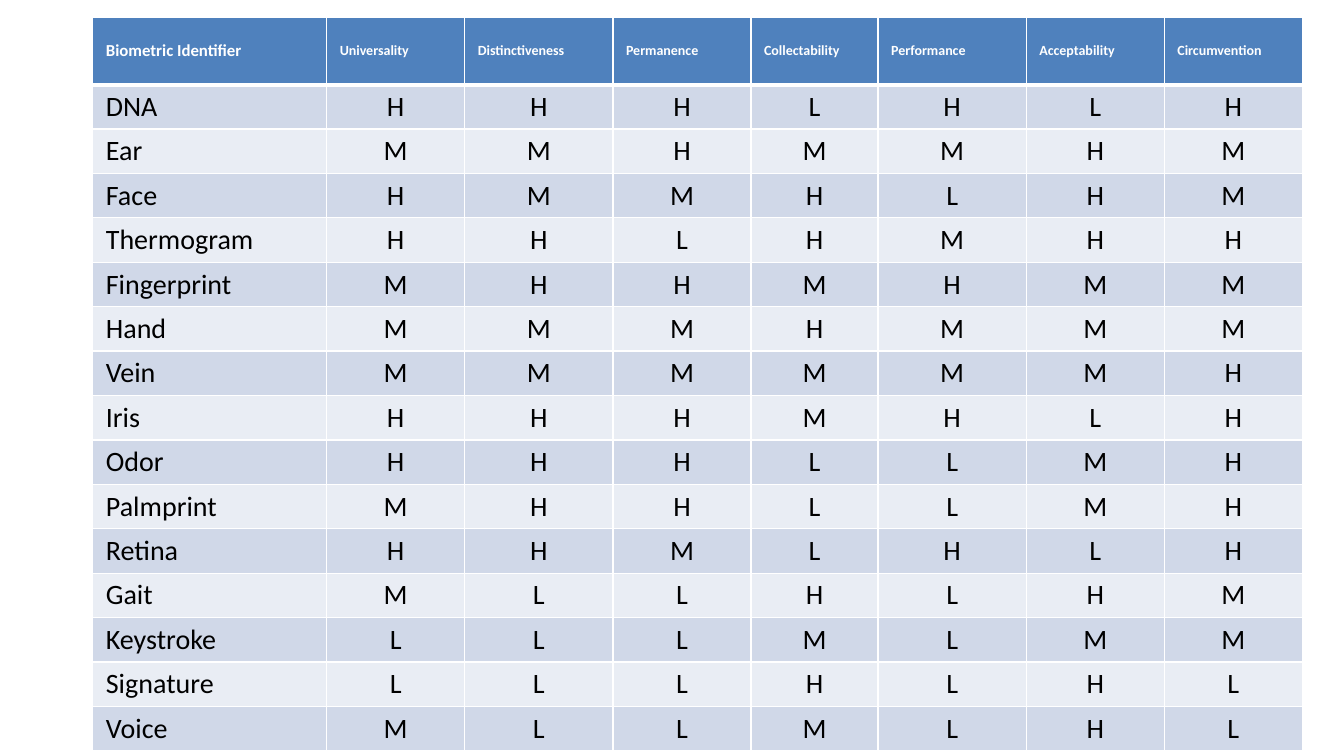
import pptx
import pptx.dml.color
import pptx.enum.text
import pptx.oxml
import pptx.oxml.ns
import pptx.util

RGB = pptx.dml.color.RGBColor
Inches = pptx.util.Inches
Pt = pptx.util.Pt
ALIGN = pptx.enum.text.PP_ALIGN

WHITE = RGB(0xFF, 0xFF, 0xFF)
BLACK = RGB(0x00, 0x00, 0x00)
BLUE = RGB(0x4F, 0x81, 0xBD)
BANDS = RGB(0xD0, 0xD8, 0xE8), RGB(0xE9, 0xED, 0xF4)

HEADS = ("Biometric Identifier", "Universality", "Distinctiveness", "Permanence",
         "Collectability", "Performance", "Acceptability", "Circumvention")
# One letter per heading: H high, M medium, L low
GRADES = {
    "DNA": "HHHLHLH",
    "Ear": "MMHMMHM",
    "Face": "HMMHLHM",
    "Thermogram": "HHLHMHH",
    "Fingerprint": "MHHMHMM",
    "Hand": "MMMHMMM",
    "Vein": "MMMMMMH",
    "Iris": "HHHMHLH",
    "Odor": "HHHLLMH",
    "Palmprint": "MHHLLMH",
    "Retina": "HHMLHLH",
    "Gait": "MLLHLHM",
    "Keystroke": "LLLMLMM",
    "Signature": "LLLHLHL",
    "Voice": "MLLMLHL",
}

LEFT, TOP = 0.92, 0.17
COLS = (2.32, 1.37, 1.47, 1.37, 1.26, 1.47, 1.37, 1.37)
HEAD_ROW, BODY_ROW = 0.67, 0.43
THIN, THICK = 1, 3

CELL = {
    "margin_left": Inches(0.13), "margin_right": Inches(0.13),
    "margin_top": Inches(0.05), "margin_bottom": Inches(0.05),
    "vertical_anchor": pptx.enum.text.MSO_ANCHOR.MIDDLE,
}


def apply(item, values):
    for name, value in values.items():
        setattr(item, name, value)


def add_edges(cell, row):
    """Draw white cell borders, with a thick rule under the heading row."""
    sides = {"L": THIN, "R": THIN,
             "T": THICK if row == 1 else THIN,
             "B": THICK if row == 0 else THIN}
    props = cell._tc.get_or_add_tcPr()
    for side, width in sides.items():
        props.append(pptx.oxml.parse_xml(
            f'<a:ln{side} {pptx.oxml.ns.nsdecls("a")} w="{Pt(width)}">'
            f'<a:solidFill><a:srgbClr val="{WHITE}"/></a:solidFill></a:ln{side}>'))


def fill_cell(cell, row, col, text):
    head = row == 0
    apply(cell, CELL)
    add_edges(cell, row)
    cell.fill.solid()
    cell.fill.fore_color.rgb = BLUE if head else BANDS[(row - 1) % 2]
    para = cell.text_frame.paragraphs[0]
    para.alignment = ALIGN.LEFT if head or col == 0 else ALIGN.CENTER
    run = para.add_run()
    run.text = text
    size = (12 if col == 0 else 10) if head else 20
    apply(run.font, {"name": "Calibri", "size": Pt(size), "bold": head})
    run.font.color.rgb = WHITE if head else BLACK


def main():
    deck = pptx.Presentation()
    apply(deck, {"slide_width": Inches(13.33), "slide_height": Inches(7.5)})
    slide = deck.slides.add_slide(deck.slide_layouts[6])

    lines = [HEADS] + [(name, *marks) for name, marks in GRADES.items()]
    rows = [HEAD_ROW] + [BODY_ROW] * len(GRADES)
    table = slide.shapes.add_table(
        len(rows), len(COLS), Inches(LEFT), Inches(TOP),
        Inches(sum(COLS)), Inches(sum(rows))).table
    for col, width in enumerate(COLS):
        table.columns[col].width = Inches(width)
    for row, line in enumerate(lines):
        table.rows[row].height = Inches(rows[row])
        for col, text in enumerate(line):
            fill_cell(table.cell(row, col), row, col, text)

    deck.save("out.pptx")


if __name__ == "__main__":
    main()
